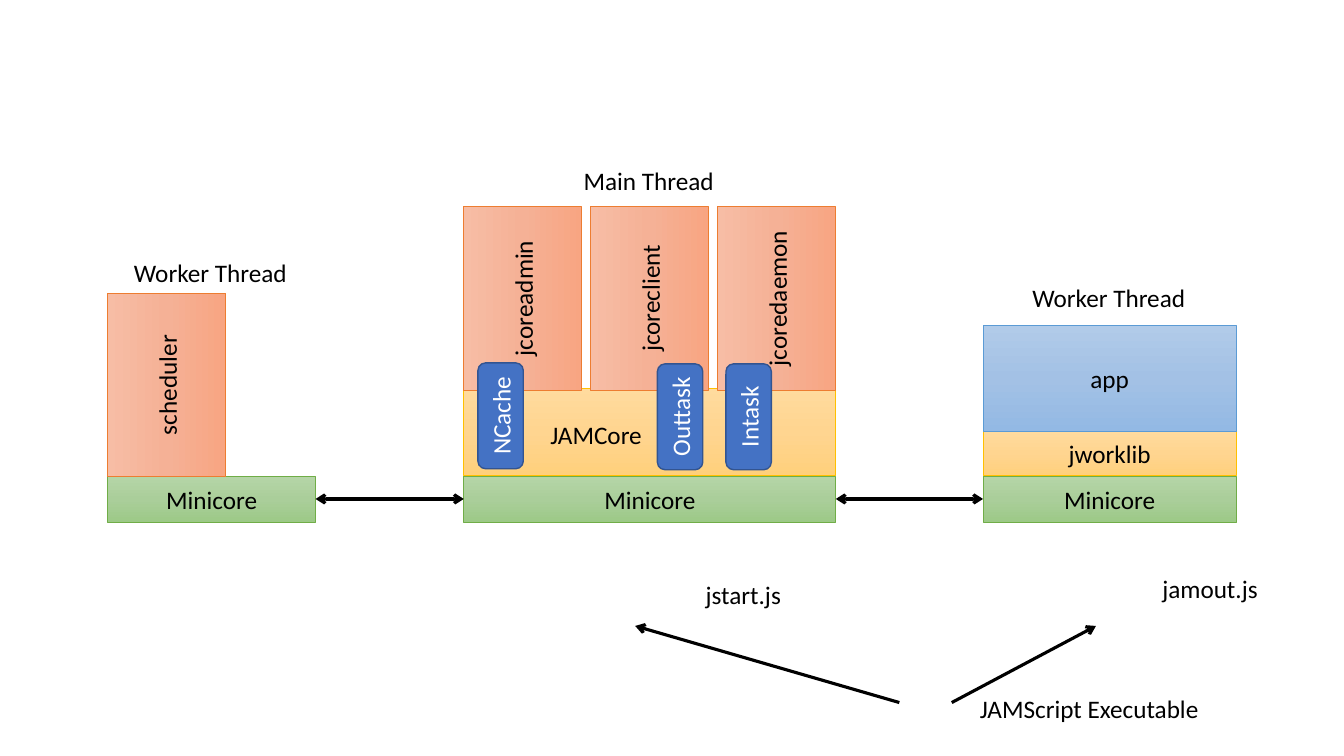
from copy import deepcopy
from dataclasses import dataclass

from lxml.etree import SubElement
from pptx import Presentation
from pptx.dml.color import RGBColor
from pptx.enum.shapes import MSO_CONNECTOR, MSO_SHAPE
from pptx.enum.text import MSO_ANCHOR, MSO_AUTO_SIZE, PP_ALIGN
from pptx.oxml.ns import qn
from pptx.slide import Slide
from pptx.text.text import TextFrame
from pptx.util import Pt

EMU_PER_PX = 9144
BLACK = "000000"
WHITE = "FFFFFF"


@dataclass(frozen=True)
class Style:
    """Look of a block: one fill colour is solid, three make a gradient."""

    fills: tuple[str, ...]
    line: str
    line_width: float = 0.5
    font: str = BLACK
    preset: MSO_SHAPE = MSO_SHAPE.RECTANGLE


@dataclass(frozen=True)
class Block:
    """A box as seen on the slide; a vertical one reads upwards."""

    text: str
    left: int
    top: int
    width: int
    height: int
    style: Style
    vertical: bool = False


@dataclass(frozen=True)
class Label:
    """Free text at a position."""

    text: str
    left: int
    top: int
    width: int


@dataclass(frozen=True)
class Arrow:
    """A line with an arrowhead at its start, its end or both."""

    start: tuple[int, int]
    end: tuple[int, int]
    heads: tuple[str, ...]


GREEN = Style(("B5D5A7", "AACE9A", "9CC987"), "70AD47")
YELLOW = Style(("FFDB9E", "FFD590", "FFD07C"), "FFC000")
ORANGE = Style(("F7BDA5", "F5B196", "F8A582"), "ED7D31")
LIGHT_BLUE = Style(("B1CBE9", "A3C1E5", "93B9E4"), "5B9BD5")
PILL = Style(("4472C4",), "325491", 1, WHITE, MSO_SHAPE.ROUNDED_RECTANGLE)

SCHEDULER_LEFT, MAIN_LEFT, APP_LEFT = 107, 460, 975
SCHEDULER_WIDTH, MAIN_WIDTH, APP_WIDTH = 206, 369, 251
MINICORE_TOP, ROW_HEIGHT = 473, 45
MODULE_WIDTH, MODULE_HEIGHT, MODULE_STEP = 117, 182, 126
ARROW_Y = 495

MINICORES = [
    Block("Minicore", left, MINICORE_TOP, width, ROW_HEIGHT, GREEN)
    for left, width in (
        (SCHEDULER_LEFT, SCHEDULER_WIDTH),
        (MAIN_LEFT, MAIN_WIDTH),
        (APP_LEFT, APP_WIDTH),
    )
]
MODULES = [
    Block(name, MAIN_LEFT + index * MODULE_STEP, 205, MODULE_WIDTH, MODULE_HEIGHT, ORANGE, True)
    for index, name in enumerate(("jcoreadmin", "jcoreclient", "jcoredaemon"))
]
PILLS = [
    Block(name, left, top, 45, 105, PILL, True)
    for name, left, top in (("NCache", 474, 360), ("Outtask", 652, 361), ("Intask", 720, 361))
]
BLOCKS = [
    *MINICORES,
    Block("", MAIN_LEFT, 385, MAIN_WIDTH, 87, YELLOW),
    *MODULES,
    Block("scheduler", SCHEDULER_LEFT, 291, MODULE_WIDTH, MODULE_HEIGHT, ORANGE, True),
    Block("jworklib", APP_LEFT, 427, APP_WIDTH, ROW_HEIGHT, YELLOW),
    Block("app", APP_LEFT, 323, APP_WIDTH, 105, LIGHT_BLUE),
    *PILLS,
]
ARROWS = [
    Arrow((SCHEDULER_LEFT + SCHEDULER_WIDTH, ARROW_Y), (MAIN_LEFT, ARROW_Y), ("headEnd", "tailEnd")),
    Arrow((MAIN_LEFT + MAIN_WIDTH, ARROW_Y), (APP_LEFT, ARROW_Y), ("headEnd", "tailEnd")),
    Arrow((630, 621), (892, 697), ("headEnd",)),
    Arrow((944, 697), (1087, 621), ("tailEnd",)),
]
LABELS = [
    Label("Main Thread", 569, 159, 151),
    Label("Worker Thread", 123, 250, 173),
    Label("Worker Thread", 1014, 275, 173),
    Label("JAMCore", 536, 411, 112),
    Label("jstart.js", 690, 570, 95),
    Label("jamout.js", 1143, 564, 116),
    Label("JAMScript Executable", 962, 683, 239),
]


def px(length: int) -> int:
    """Turn px into EMU."""
    return length * EMU_PER_PX


def color(value: str) -> RGBColor:
    """Turn a hex string into a colour."""
    return RGBColor.from_string(value)


def write_text(text_frame: TextFrame, text: str, font_color: str, alignment: PP_ALIGN) -> None:
    """Fill a text frame with one formatted paragraph."""
    text_frame.text = text
    paragraph = text_frame.paragraphs[0]
    paragraph.alignment = alignment
    for run in paragraph.runs:
        run.font.name = "Calibri"
        run.font.size = Pt(18)
        run.font.color.rgb = color(font_color)


def draw_block(slide: Slide, block: Block) -> None:
    """Draw a block, turning a vertical one about its centre."""
    style = block.style
    width, height = (block.height, block.width) if block.vertical else (block.width, block.height)
    left = px(block.left) + px(block.width - width) // 2
    top = px(block.top) + px(block.height - height) // 2
    shape = slide.shapes.add_shape(style.preset, left, top, px(width), px(height))
    shape.rotation = 270 if block.vertical else 0
    shape.shadow.inherit = False
    shape.line.color.rgb = color(style.line)
    shape.line.width = Pt(style.line_width)
    if len(style.fills) == 1:
        shape.fill.solid()
        shape.fill.fore_color.rgb = color(style.fills[0])
    else:
        shape.fill.gradient()
        shape.fill.gradient_angle = 270
        stop_list = shape._element.spPr.find(qn("a:gradFill")).find(qn("a:gsLst"))
        stop_list.insert(1, deepcopy(stop_list[0]))
        for index, stop in enumerate(shape.fill.gradient_stops):
            stop.position = index / 2
            stop.color.rgb = color(style.fills[index])
    if block.text:
        shape.text_frame.vertical_anchor = MSO_ANCHOR.MIDDLE
        write_text(shape.text_frame, block.text, style.font, PP_ALIGN.CENTER)


def draw_arrow(slide: Slide, arrow: Arrow) -> None:
    """Draw a straight line with its arrowheads."""
    points = [px(length) for length in (*arrow.start, *arrow.end)]
    connector = slide.shapes.add_connector(MSO_CONNECTOR.STRAIGHT, *points)
    connector.line.color.rgb = color(BLACK)
    connector.line.width = Pt(2.25)
    properties = connector._element.spPr
    for head in arrow.heads:
        SubElement(properties.find(qn("a:ln")), qn(f"a:{head}"), type="arrow")
    SubElement(properties, qn("a:effectLst"))


def draw_label(slide: Slide, label: Label) -> None:
    """Draw a line of text that does not wrap."""
    shape = slide.shapes.add_textbox(px(label.left), px(label.top), px(label.width), px(40))
    shape.text_frame.word_wrap = False
    shape.text_frame.auto_size = MSO_AUTO_SIZE.SHAPE_TO_FIT_TEXT
    write_text(shape.text_frame, label.text, BLACK, PP_ALIGN.LEFT)


def main() -> None:
    """Build and save the thread diagram."""
    presentation = Presentation()
    presentation.slide_width, presentation.slide_height = px(1333), px(750)
    slide = presentation.slides.add_slide(presentation.slide_layouts[6])
    for block in BLOCKS:
        draw_block(slide, block)
    for arrow in ARROWS:
        draw_arrow(slide, arrow)
    for label in LABELS:
        draw_label(slide, label)
    presentation.save("out.pptx")


if __name__ == "__main__":
    main()
